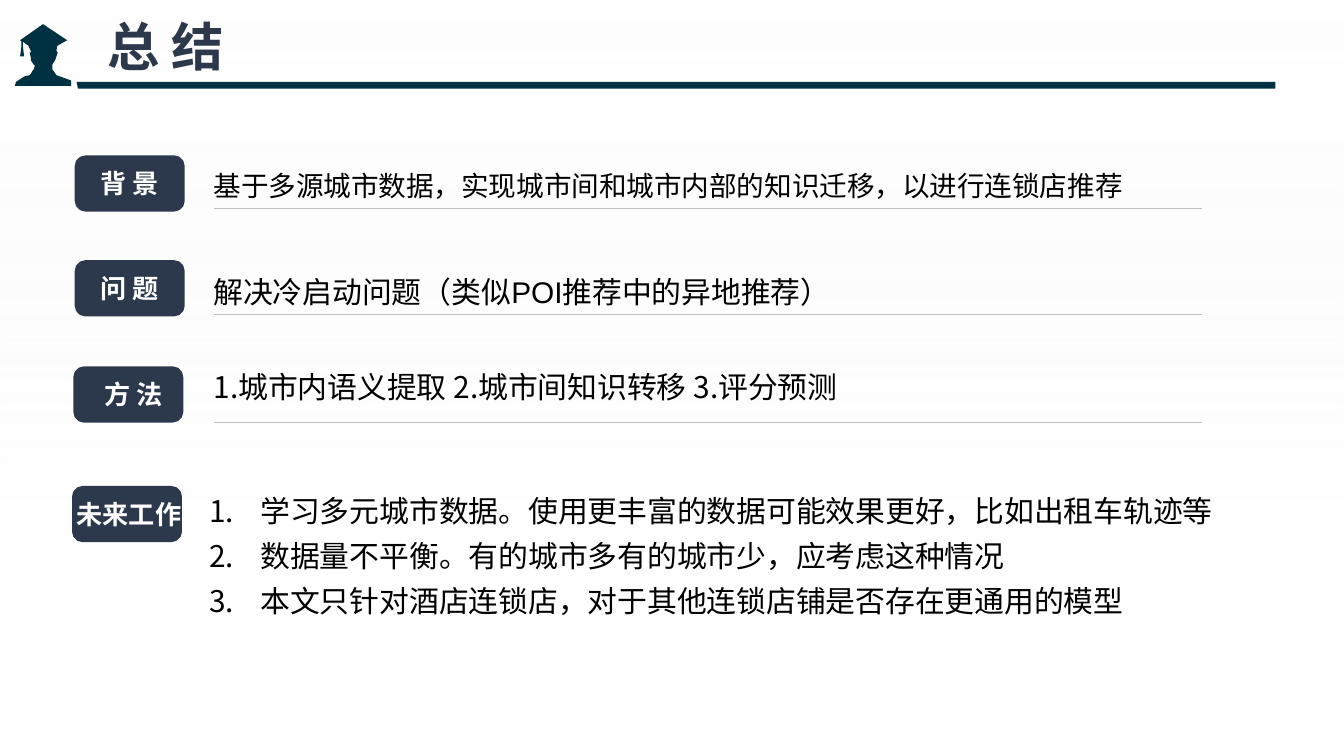
from lxml import etree
from pptx import Presentation
from pptx.dml.color import RGBColor
from pptx.enum.shapes import MSO_CONNECTOR, MSO_SHAPE
from pptx.enum.text import MSO_ANCHOR as Anchor, PP_ALIGN as Align
from pptx.oxml.ns import qn
from pptx.util import Inches, Pt

TEAL = RGBColor(0x00, 0x31, 0x42)
NAVY = RGBColor(0x2C, 0x39, 0x4C)
RULE_GREY = RGBColor(0xBF, 0xBF, 0xBF)
PALE_GREY = RGBColor(0xF2, 0xF2, 0xF2)
BLACK = RGBColor(0x00, 0x00, 0x00)
WHITE = RGBColor(0xFF, 0xFF, 0xFF)
CJK = "Noto Sans CJK SC"

prs = Presentation()
prs.slide_width = Inches(10)
prs.slide_height = Inches(10) * 9 // 16
slide = prs.slides.add_slide(prs.slide_layouts[6])
shapes = slide.shapes


def write(shape, lines, size=16, color=BLACK, font=CJK, bold=False, align=None,
          spacing=None, anchor=Anchor.MIDDLE, wrap=True, numbered=False):
    """Fill a shape with one paragraph per line, numbered if asked."""
    frame = shape.text_frame
    frame.word_wrap = wrap
    frame.vertical_anchor = anchor
    for i, line in enumerate(lines):
        para = frame.paragraphs[0] if i == 0 else frame.add_paragraph()
        para.alignment = align
        para.line_spacing = spacing
        if numbered:
            props = para._p.get_or_add_pPr()
            props.set("marL", str(Inches(0.38)))
            props.set("indent", str(-Inches(0.38)))
            etree.SubElement(props, qn("a:buFont"), typeface=CJK)
            etree.SubElement(props, qn("a:buAutoNum"), type="arabicPeriod")
        run = para.add_run()
        run.text = line
        run.font.size = Pt(size)
        run.font.bold = bold
        run.font.name = font
        run.font.color.rgb = color
        etree.SubElement(run._r.get_or_add_rPr(), qn("a:ea"), typeface=CJK)


def draw_outline(points):
    """Draw a closed teal outline from points in hundredths of an inch."""
    builder = shapes.build_freeform(*points[0], scale=Inches(0.01))
    builder.add_line_segments(points[1:], close=True)
    outline = builder.convert_to_shape()
    outline.shadow.inherit = False
    outline.fill.solid()
    outline.fill.fore_color.rgb = TEAL
    outline.line.fill.background()


# Backdrop fading from half-opaque white to clear grey
backdrop = shapes.add_shape(MSO_SHAPE.RECTANGLE, 0, 0, prs.slide_width, prs.slide_height)
backdrop.shadow.inherit = False
backdrop.line.fill.background()
backdrop.fill.gradient()
backdrop.fill.gradient_angle = 270
for stop, (color, position, opacity) in zip(
        backdrop.fill.gradient_stops, [(WHITE, 0, 55), (PALE_GREY, 0.71, 0)]):
    stop.color.rgb = color
    stop.position = position
    for rgb in stop._gs.iter(qn("a:srgbClr")):
        etree.SubElement(rgb, qn("a:alpha"), val=str(opacity * 1000))

# Header: bar, graduate and title
draw_outline([(57, 61), (949, 61), (949, 66), (58, 66)])
draw_outline([
    (53, 60), (42, 56), (40, 53), (39, 52), (39, 48), (41, 45), (43, 39), (42, 38),
    (43, 32), (43, 34), (50, 30), (32, 18), (15, 30), (16, 31), (16, 34), (15, 42),
    (18, 42), (17, 34), (17, 31), (21, 34), (23, 38), (23, 39), (22, 39), (23, 43),
    (23, 45), (25, 48), (26, 49), (25, 52), (24, 53), (23, 55), (22, 56), (18, 57),
    (12, 61), (11, 64), (53, 64)])
title = shapes.add_textbox(Inches(0.7), Inches(0.15), Inches(1.62), Inches(0.49))
write(title, ["总 结"], size=28, color=NAVY, font="Arial", bold=True, spacing=0.8,
      anchor=Anchor.TOP)

# Section labels: left, top, left inset
labels = [
    ("背 景", 0.57, 1.17, 0),
    ("问 题", 0.57, 1.95, 0),
    ("方 法", 0.56, 2.74, 0.08),
    ("未来工作", 0.55, 3.63, 0.03),
]
for name, left, top, inset in labels:
    label = shapes.add_shape(MSO_SHAPE.ROUNDED_RECTANGLE, Inches(left), Inches(top),
                             Inches(0.79), Inches(0.39))
    label.shadow.inherit = False
    label.fill.solid()
    label.fill.fore_color.rgb = NAVY
    label.line.color.rgb = NAVY
    label.line.width = Pt(2)
    label.text_frame.margin_left = Inches(inset)
    label.text_frame.margin_right = 0
    write(label, [name], size=14, color=WHITE, bold=True, align=Align.CENTER, wrap=False)

# Section contents: left, top, width, height, format
contents = [
    (["基于多源城市数据，实现城市间和城市内部的知识迁移，以进行连锁店推荐"],
     1.49, 1.01, 7.48, 0.61, dict(size=14.8, font="Arial", spacing=1.5)),
    (["解决冷启动问题（类似POI推荐中的异地推荐）"],
     1.49, 1.79, 7.36, 0.63, dict(font="Arial", spacing=1.5)),
    (["1.城市内语义提取 2.城市间知识转移 3.评分预测"],
     1.49, 2.62, 7.48, 0.51, dict(align=Align.JUSTIFY)),
    (["学习多元城市数据。使用更丰富的数据可能效果更好，比如出租车轨迹等",
      "数据量不平衡。有的城市多有的城市少，应考虑这种情况",
      "本文只针对酒店连锁店，对于其他连锁店铺是否存在更通用的模型"],
     1.46, 3.45, 8.92, 1.3, dict(align=Align.JUSTIFY, spacing=1.25, numbered=True)),
]
for lines, left, top, width, height, style in contents:
    content = shapes.add_textbox(Inches(left), Inches(top), Inches(width), Inches(height))
    write(content, lines, **style)

for y in (1.55, 2.34, 3.14):
    rule = shapes.add_connector(MSO_CONNECTOR.STRAIGHT, Inches(1.59), Inches(y),
                                Inches(8.94), Inches(y))
    rule.line.color.rgb = RULE_GREY
    rule.line.width = Pt(0.25)
    etree.SubElement(rule._element.spPr, qn("a:effectLst"))

prs.save("out.pptx")
